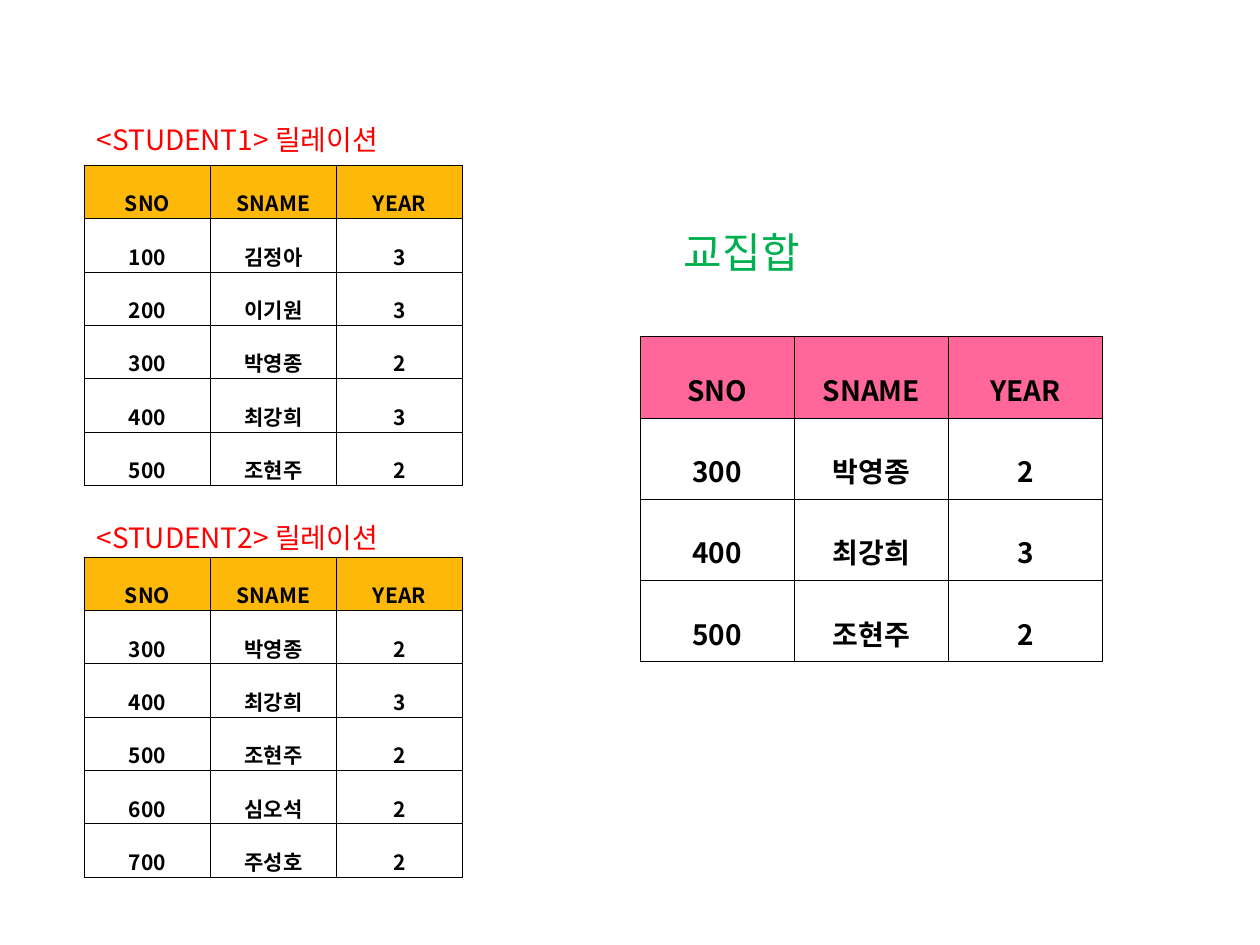
from dataclasses import dataclass

from lxml import etree
from pptx import Presentation
from pptx import util as u
from pptx.dml import color
from pptx.enum import text
from pptx.oxml import ns


@dataclass(frozen=True)
class Theme:
    """Colours, type sizes and line width of the slide."""

    font: str = "Noto Sans CJK KR"
    ink: str = "000000"
    relation: str = "FF0000"
    result: str = "00B050"
    relation_header: str = "FEB80A"
    result_header: str = "FF6699"
    small: int = 12
    medium: int = 16
    large: int = 24
    border: float = 0.11
    line_spacing: float = 1.6


THEME = Theme()
TIGHT = {"margin_top": u.Inches(0.03), "margin_bottom": u.Inches(0)}
ROOMY = {"margin_top": u.Inches(0.05), "margin_bottom": u.Inches(0.05)}
HEADER = ("SNO", "SNAME", "YEAR")
STUDENT1 = (
    ("100", "김정아", "3"),
    ("200", "이기원", "3"),
    ("300", "박영종", "2"),
    ("400", "최강희", "3"),
    ("500", "조현주", "2"),
)
STUDENT2 = (
    ("300", "박영종", "2"),
    ("400", "최강희", "3"),
    ("500", "조현주", "2"),
    ("600", "심오석", "2"),
    ("700", "주성호", "2"),
)
INTERSECTION = tuple(row for row in STUDENT1 if row in STUDENT2)


def write_text(paragraph, words, size, ink, bold=False):
    """Write one run of text in the theme font."""
    run = paragraph.add_run()
    run.text = words
    formats = {"name": THEME.font, "size": u.Pt(size), "bold": bold}
    for name, value in formats.items():
        setattr(run.font, name, value)
    run.font.color.rgb = color.RGBColor.from_string(ink)
    east_asian = etree.SubElement(run.font._element, ns.qn("a:ea"))
    east_asian.set("typeface", THEME.font)


def add_borders(cell):
    """Draw a thin line on all four sides of a cell."""
    properties = cell._tc.get_or_add_tcPr()
    for position, side in enumerate(("lnL", "lnR", "lnT", "lnB")):
        line = etree.Element(ns.qn(f"a:{side}"), w=str(u.Pt(THEME.border)))
        fill = etree.SubElement(line, ns.qn("a:solidFill"))
        etree.SubElement(fill, ns.qn("a:srgbClr"), val=THEME.ink)
        properties.insert(position, line)


def add_caption(slide, box, words, size, ink):
    """Place a one-line caption in the given box."""
    shape = slide.shapes.add_textbox(*map(u.Inches, box))
    shape.text_frame.word_wrap = True
    write_text(shape.text_frame.paragraphs[0], words, size, ink)


def add_relation(slide, box, records, size, header_fill, margins):
    """Place a table with a coloured header row and equal cells in the box."""
    rows = (HEADER, *records)
    left, top, width, height = map(u.Inches, box)
    table = slide.shapes.add_table(
        len(rows), len(HEADER), left, top, width, height
    ).table
    table.first_row = table.horz_banding = False
    formats = {"vertical_anchor": text.MSO_ANCHOR.MIDDLE, **margins}
    for row_index, row in enumerate(rows):
        for column_index, words in enumerate(row):
            cell = table.cell(row_index, column_index)
            for name, value in formats.items():
                setattr(cell, name, value)
            if row_index == 0:
                cell.fill.solid()
                cell.fill.fore_color.rgb = color.RGBColor.from_string(header_fill)
            else:
                cell.fill.background()
            add_borders(cell)
            paragraph = cell.text_frame.paragraphs[0]
            paragraph.alignment = text.PP_ALIGN.CENTER
            paragraph.line_spacing = THEME.line_spacing
            write_text(paragraph, words, size, THEME.ink, bold=True)


def build_slide(presentation):
    """Lay out the two source relations and their intersection."""
    slide = presentation.slides.add_slide(presentation.slide_layouts[6])
    captions = (
        ((0.67, 0.92, 2.69, 0.37), "<STUDENT1> 릴레이션", THEME.medium, THEME.relation),
        ((0.67, 4.08, 2.83, 0.37), "<STUDENT2> 릴레이션", THEME.medium, THEME.relation),
        ((5.33, 1.75, 1.75, 0.5), "교집합", THEME.large, THEME.result),
    )
    small_style = (THEME.small, THEME.relation_header, TIGHT)
    large_style = (THEME.medium, THEME.result_header, ROOMY)
    relations = (
        ((0.67, 1.31, 3, 2.54), STUDENT1, *small_style),
        ((0.67, 4.42, 3, 2.54), STUDENT2, *small_style),
        ((5.08, 2.67, 3.67, 2.58), INTERSECTION, *large_style),
    )
    for relation in relations:
        add_relation(slide, *relation)
    for caption in captions:
        add_caption(slide, *caption)


def main():
    """Build and save the presentation."""
    presentation = Presentation()
    presentation.slide_width = u.Inches(10)
    presentation.slide_height = u.Inches(7.5)
    build_slide(presentation)
    presentation.save("out.pptx")


if __name__ == "__main__":
    main()
